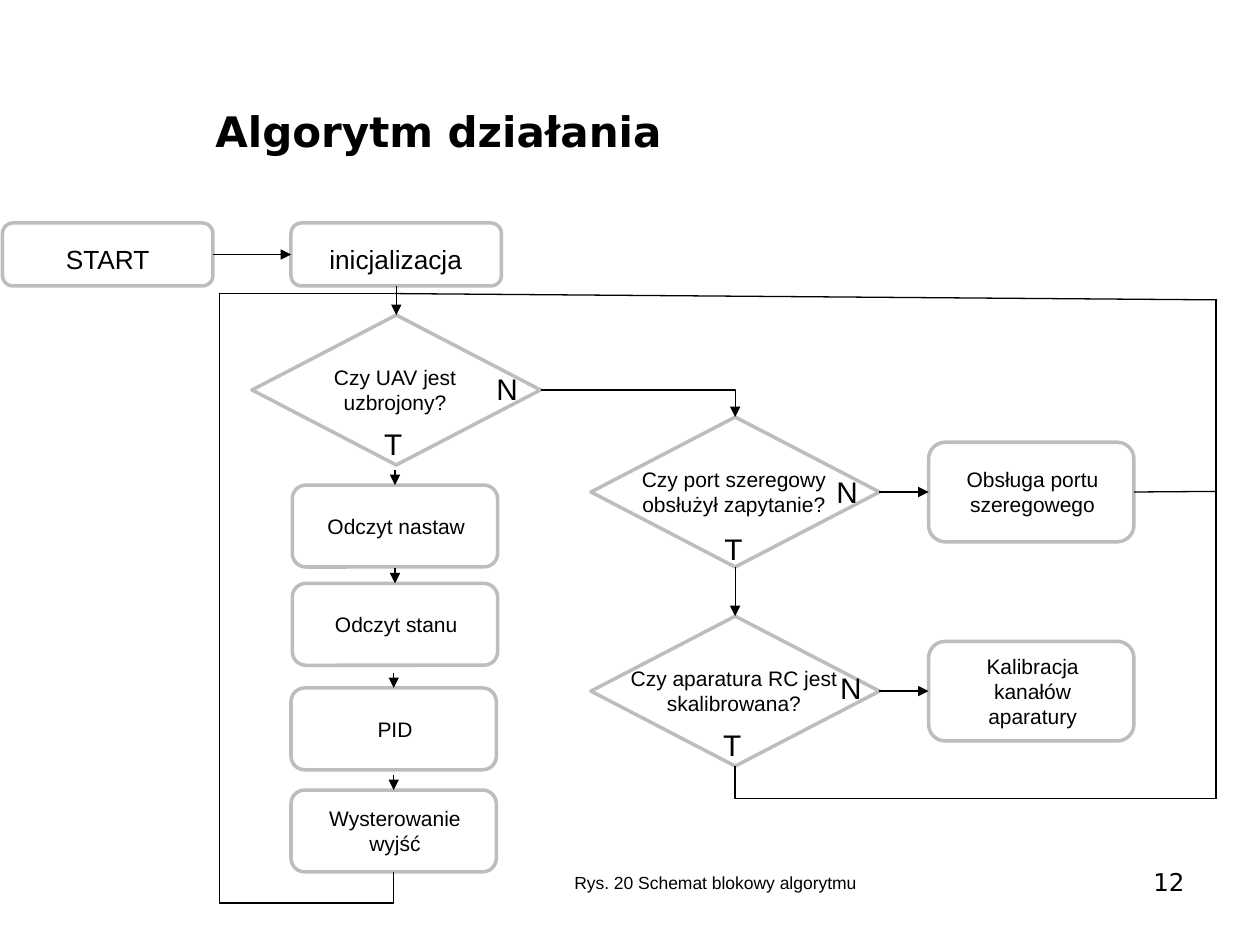
from pptx import Presentation
from pptx import util as u
from pptx.dml.color import RGBColor
from pptx.enum import shapes, text
from pptx.oxml.ns import qn
from lxml import etree

TOP, LEFT, BOTTOM, RIGHT = range(4)
BLACK, GREY, WHITE = "000000", "BDBDBD", "FFFFFF"
PROCESS = shapes.MSO_SHAPE.FLOWCHART_ALTERNATE_PROCESS
DECISION = shapes.MSO_SHAPE.FLOWCHART_DECISION


def color(value):
    """Turn a hex string into a colour."""
    return RGBColor.from_string(value)


def inches(*values):
    """Convert several numbers to lengths."""
    return [u.Inches(value) for value in values]


def write(frame, words, size, font="Arial", bold=False, align=text.PP_ALIGN.LEFT):
    """Put one formatted run in a text frame."""
    frame.word_wrap = True
    paragraph = frame.paragraphs[0]
    paragraph.alignment = align
    run = paragraph.add_run()
    run.text = words
    run.font.size = u.Pt(size)
    run.font.name = font
    run.font.bold = bold
    run.font.color.rgb = color(BLACK)


def add_text(parent, box, words, size, anchor=text.MSO_ANCHOR.TOP, **style):
    """Add a text box."""
    frame = parent.add_textbox(*inches(*box)).text_frame
    frame.vertical_anchor = anchor
    write(frame, words, size, **style)


def add_block(slide, kind, box, words, text_box, size=12):
    """Add an outlined flowchart block grouped with its caption."""
    group = slide.shapes.add_group_shape()
    shape = group.shapes.add_shape(kind, *inches(*box))
    shape.shadow.inherit = False
    shape.fill.solid()
    shape.fill.fore_color.rgb = color(WHITE)
    shape.line.color.rgb = color(GREY)
    shape.line.width = u.Pt(2)
    anchor = text.MSO_ANCHOR.MIDDLE if size == 12 else text.MSO_ANCHOR.TOP
    add_text(group.shapes, text_box, words, size, anchor, align=text.PP_ALIGN.CENTER)
    return shape


def add_decision(slide, left, top, words):
    """Add a decision diamond."""
    return add_block(slide, DECISION, (left, top, 2.29, 1.19), words,
                     (left + 0.19, top + 0.34, 1.89, 0.5))


def add_process(slide, left, top, height, words, text_height):
    """Add a process block with its caption centred vertically."""
    text_top = top + (height - text_height) / 2
    return add_block(slide, PROCESS, (left, top, 1.63, height), words,
                     (left + 0.15, text_top, 1.35, text_height))


def add_line(slide, start, end, begin=None, finish=None, arrow=True, preset=None):
    """Add a thin black connector, optionally joined to blocks and bent."""
    kind = shapes.MSO_CONNECTOR.ELBOW if preset else shapes.MSO_CONNECTOR.STRAIGHT
    connector = slide.shapes.add_connector(kind, *inches(*start, *end))
    if begin:
        connector.begin_connect(*begin)
    if finish:
        connector.end_connect(*finish)
    connector.line.color.rgb = color(BLACK)
    connector.line.width = u.Pt(0.75)
    properties = connector._element.spPr
    if preset:
        properties.find(qn("a:prstGeom")).set("prst", preset)
    if arrow:
        line = properties.find(qn("a:ln"))
        etree.SubElement(line, qn("a:tailEnd"), type="triangle")
    etree.SubElement(properties, qn("a:effectLst"))
    return connector


def add_return_loop(slide):
    """Add the five-part line from the last step back to the first decision."""
    connector = add_line(slide, (5.42, 4.63), (0.83, 4.62), arrow=False,
                         preset="bentConnector5")
    properties = connector._element.spPr
    properties.find(qn("a:xfrm")).set("rot", str(90 * 60000))
    geometry = properties.find(qn("a:prstGeom"))
    guides = geometry.find(qn("a:avLst"))
    if guides is None:
        guides = etree.SubElement(geometry, qn("a:avLst"))
    for number, value in enumerate((-5400, -14000000, 100000), 1):
        etree.SubElement(guides, qn("a:gd"), name=f"adj{number}", fmla=f"val {value}")


def add_title(slide):
    """Fill and place the title."""
    title = slide.shapes.title
    title.left, title.top, title.width, title.height = inches(1.61, 0.52, 7.89, 1.03)
    title.text_frame.vertical_anchor = text.MSO_ANCHOR.MIDDLE
    write(title.text_frame, "Algorytm działania", 24, "DejaVu Sans", True)


def main():
    """Build the flowchart slide."""
    presentation = Presentation()
    presentation.slide_width, presentation.slide_height = inches(10, 7.5)
    slide = presentation.slides.add_slide(presentation.slide_layouts[5])
    add_title(slide)

    start = add_block(slide, PROCESS, (0.02, 1.77, 1.67, 0.5), "START",
                      (0.31, 1.88, 1.09, 0.29), 15)
    setup = add_block(slide, PROCESS, (2.31, 1.77, 1.67, 0.5), "inicjalizacja",
                      (2.35, 1.88, 1.58, 0.35), 15)
    armed = add_decision(slide, 2, 2.5, "Czy UAV jest uzbrojony?")
    port = add_decision(slide, 4.69, 3.31, "Czy port szeregowy obsłużył zapytanie?")
    radio = add_decision(slide, 4.69, 4.89, "Czy aparatura RC jest skalibrowana?")
    serve = add_process(slide, 7.37, 3.51, 0.79, "Obsługa portu szeregowego", 0.5)
    calibrate = add_process(slide, 7.37, 5.09, 0.79, "Kalibracja kanałów aparatury", 0.71)

    for left, top, words, text_height in (
        (2.32, 3.85, "Odczyt nastaw", 0.3),
        (2.32, 4.63, "Odczyt stanu", 0.3),
        (2.31, 5.46, "PID", 0.3),
        (2.31, 6.27, "Wysterowanie wyjść", 0.5),
    ):
        step = add_process(slide, left, top, 0.65, words, text_height)
        middle = left + 1.63 / 2
        add_line(slide, (middle, top - 0.12), (middle, top), finish=(step, TOP))

    for begin, side, finish, end_side in (
        (start, RIGHT, setup, LEFT),
        (setup, BOTTOM, armed, TOP),
        (port, RIGHT, serve, LEFT),
        (port, BOTTOM, radio, TOP),
        (radio, RIGHT, calibrate, LEFT),
    ):
        add_line(slide, (0, 0), (1, 1), (begin, side), (finish, end_side))

    add_line(slide, (4.28, 3.09), (5.83, 3.31), (armed, RIGHT), (port, TOP),
             preset="bentConnector2")
    add_line(slide, (9.65, 6.34), (5.83, 6.08), finish=(radio, BOTTOM), arrow=False,
             preset="bentConnector2")
    add_line(slide, (9.65, 6.34), (9.65, 2.38), arrow=False)
    add_line(slide, (9.66, 2.38), (3.13, 2.33), arrow=False)
    add_line(slide, (9, 3.9), (9.65, 3.9), begin=(serve, RIGHT), arrow=False)
    add_return_loop(slide)

    for letter, width, places in (
        ("N", 0.31, ((3.84, 2.89), (6.54, 3.71), (6.57, 5.27))),
        ("T", 0.36, ((2.95, 3.33), (5.65, 4.16), (5.64, 5.72))),
    ):
        for left, top in places:
            add_text(slide.shapes, (left, top, width, 0.39), letter, 17)

    add_text(slide.shapes, (4.46, 6.87, 3.3, 0.27), "Rys. 20 Schemat blokowy algorytmu", 10)
    add_text(slide.shapes, (7.17, 6.83, 2.33, 0.52), "12", 14,
             font="DejaVu Sans", align=text.PP_ALIGN.RIGHT)
    presentation.save("out.pptx")


if __name__ == "__main__":
    main()
